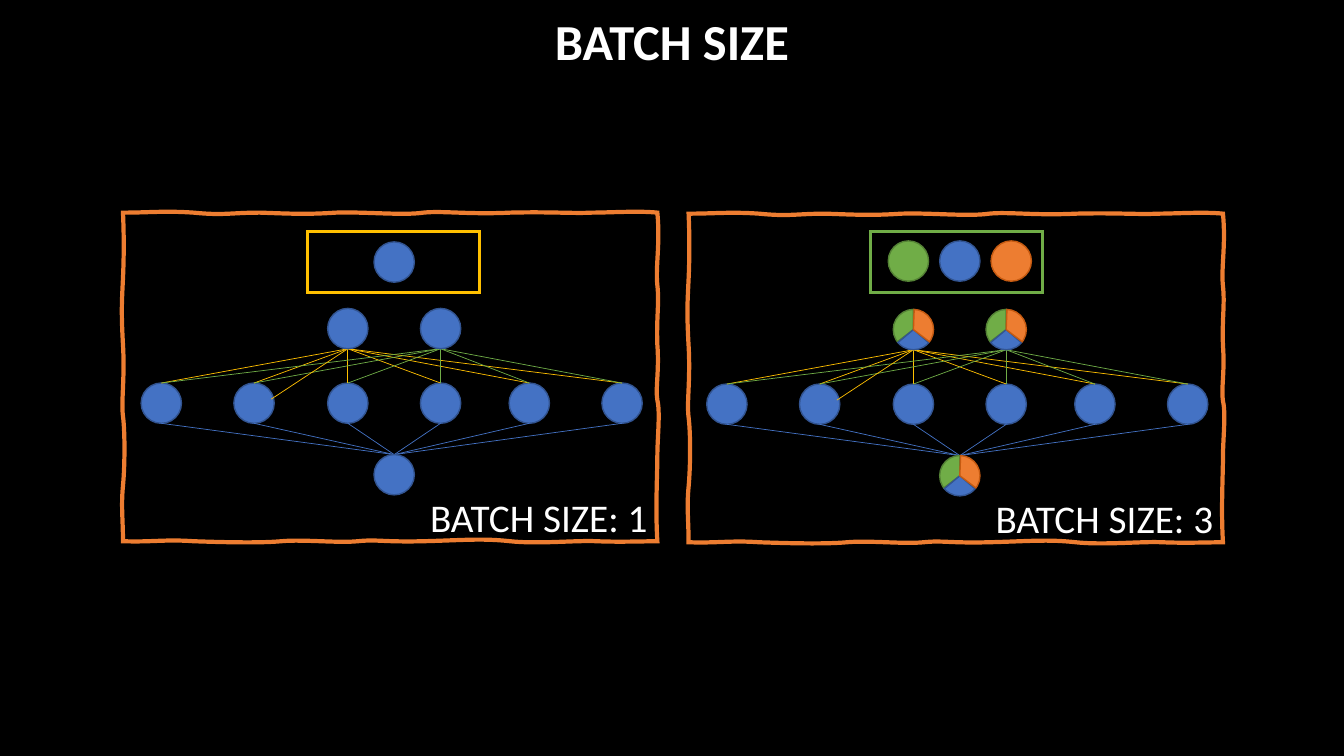
from itertools import product
from lxml.etree import SubElement
from pptx import Presentation
from pptx.dml.color import RGBColor
from pptx.enum.shapes import MSO_CONNECTOR as CONNECTOR, MSO_SHAPE as SHAPE
from pptx.enum.text import MSO_ANCHOR as ANCHOR, PP_ALIGN as ALIGN
from pptx.oxml.ns import qn
from pptx.util import Inches, Pt

THEME = {
    "background": "000000", "text": "FFFFFF", "frame": "ED7D31",
    "blue": ("4472C4", "325491"),
    "green": ("70AD47", "548235"),
    "orange": ("ED7D31", "C55A11"),
    "yellow": ("FFC000", "FFC000"),
    "font": "Calibri", "title_size": 36, "label_size": 28,
    "frame_line": 3, "box_line": 2.25, "node_line": 1, "link_line": 0.5,
}

TITLE = "BATCH SIZE"
PANELS = [
    {"label": "BATCH SIZE: 1", "left": 1.22, "top": 2.11, "box": (1.83, 0.19),
     "box_color": "yellow", "sample_row": 0.29, "samples": {0: "blue"}, "mixed": False},
    {"label": "BATCH SIZE: 3", "left": 6.83, "top": 2.12, "box": (1.8, 0.18),
     "box_color": "green", "sample_row": 0.27,
     "samples": {0: "blue", -1: "green", 1: "orange"}, "mixed": True},
]
BATCH_SLICES = {"green": (85.71, 162), "blue": (24.43, 84.08), "orange": (163.3, 22.34)}

NODE = 0.4
SAMPLE_STEP = 0.51
HIDDEN_COLUMNS = (0.38, 1.3, 2.23, 3.15, 4.03, 4.95)
INPUT_LINKS = {2.23: "yellow", 3.15: "green"}
CENTER = 2.69
INPUT_ROW, HIDDEN_ROW, OUTPUT_ROW = 0.95, 1.69, 2.4
SIDE_LINK_END = (1.47, 1.85)
BOX_SIZE = (1.71, 0.6)
LABEL_AREA = (2.53, 2.73, 2.77, 0.57)
TITLE_AREA = (3.54, 0.05, 6.25, 0.71)

FRAME_WIDTH, FRAME_HEIGHT = 5.3, 3.26
TOP_EDGE = [
    (0.26, 0), (0.41, -0.02), (0.7, 0), (1, 0.03), (1.07, 0), (1.36, 0),
    (1.64, 0.01), (1.82, 0.02), (2.11, 0), (2.4, -0.01), (2.78, 0.03), (2.98, 0),
    (3.17, -0.02), (3.43, 0.02), (3.84, 0), (4.25, -0.01), (4.47, 0.01), (4.65, 0),
    (4.83, 0), (5.11, -0.02), (5.3, 0)]
RIGHT_EDGE = [
    (0.31, 0.03), (0.54, -0.02), (0.72, 0), (0.9, 0.02), (1.04, -0.01), (1.31, 0),
    (1.57, 0.02), (1.74, -0.02), (1.86, 0), (1.98, 0.03), (2.24, 0), (2.41, 0),
    (2.59, 0), (2.94, -0.02), (3.26, 0)]
BOTTOM_EDGE = [
    (5.18, 0), (4.92, 0.01), (4.7, 0), (4.49, -0.01), (4.12, 0.03), (3.84, 0),
    (3.56, -0.03), (3.38, -0.01), (2.98, 0), (2.58, 0.01), (2.52, -0.02), (2.33, 0),
    (2.13, 0.02), (1.79, -0.02), (1.57, 0), (1.35, 0.02), (0.99, 0.01), (0.7, 0),
    (0.42, -0.02), (0.29, 0.01), (0, 0)]
LEFT_EDGE = [
    (3.05, 0), (2.91, -0.02), (2.71, 0), (2.5, 0.02), (2.17, 0.02), (2.02, 0),
    (1.87, -0.02), (1.65, 0.02), (1.31, 0), (0.96, -0.02), (0.87, -0.01), (0.65, 0),
    (0.44, 0.01), (0.21, 0.01), (0, 0)]
FRAME_CURVE = (
    TOP_EDGE
    + [(FRAME_WIDTH + wobble, y) for y, wobble in RIGHT_EDGE]
    + [(x, FRAME_HEIGHT + wobble) for x, wobble in BOTTOM_EDGE]
    + [(wobble, y) for y, wobble in LEFT_EDGE])


def rgb(code):
    return RGBColor.from_string(code)


def style(part, fill, line, width):
    part.shadow.inherit = False
    if fill:
        part.fill.solid()
        part.fill.fore_color.rgb = rgb(fill)
    else:
        part.fill.background()
    part.line.color.rgb = rgb(line)
    part.line.width = Pt(width)
    SubElement(part.element.spPr.find(qn("a:ln")), qn("a:miter"), lim="800000")


def write(holder, words, size, align, bold=False):
    frame = holder.text_frame
    for name, value in {"word_wrap": True, "vertical_anchor": ANCHOR.TOP, "text": words}.items():
        setattr(frame, name, value)
    paragraph = frame.paragraphs[0]
    paragraph.alignment = align
    font = paragraph.runs[0].font
    for name, value in {"name": THEME["font"], "size": Pt(size), "bold": bold}.items():
        setattr(font, name, value)
    font.color.rgb = rgb(THEME["text"])


def draw_frame(shapes, place):
    corners = [(FRAME_WIDTH, 0), (FRAME_WIDTH, FRAME_HEIGHT), (0, FRAME_HEIGHT)]
    builder = shapes.build_freeform(*place(0, 0))
    builder.add_line_segments([place(*corner) for corner in corners])
    frame = builder.convert_to_shape()
    outline = next(frame.element.iter(qn("a:path")))
    for piece in list(outline)[1:]:
        outline.remove(piece)
    for start in range(0, len(FRAME_CURVE), 3):
        curve = SubElement(outline, qn("a:cubicBezTo"))
        for x, y in FRAME_CURVE[start:start + 3]:
            SubElement(curve, qn("a:pt"), x=str(Inches(x)), y=str(Inches(y)))
    SubElement(outline, qn("a:close"))
    style(frame, None, THEME["frame"], THEME["frame_line"])


def draw_panel(shapes, panel):
    def place(x, y):
        return Inches(panel["left"] + x), Inches(panel["top"] + y)

    def node(center, top, color, kind=SHAPE.OVAL, parent=shapes):
        circle = parent.add_shape(kind, *place(center - NODE / 2, top), Inches(NODE), Inches(NODE))
        style(circle, *THEME[color], THEME["node_line"])
        return circle

    def batch_node(center, top):
        if not panel["mixed"]:
            node(center, top, "blue")
            return
        slices = shapes.add_group_shape().shapes
        for color, angles in BATCH_SLICES.items():
            wedge = node(center, top, color, SHAPE.PIE, slices)
            wedge.adjustments[0], wedge.adjustments[1] = angles

    def link(start, end, color):
        connection = shapes.add_connector(CONNECTOR.STRAIGHT, *place(*start), *place(*end))
        connection.line.color.rgb = rgb(THEME[color][0])
        connection.line.width = Pt(THEME["link_line"])
        SubElement(connection.element.spPr, qn("a:effectLst"))

    draw_frame(shapes, place)
    for column in HIDDEN_COLUMNS:
        node(column, HIDDEN_ROW, "blue")
    for (source, color), column in product(INPUT_LINKS.items(), HIDDEN_COLUMNS):
        link((source, INPUT_ROW + NODE), (column, HIDDEN_ROW), color)
    link((HIDDEN_COLUMNS[2], INPUT_ROW + NODE), SIDE_LINK_END, "yellow")
    for column in HIDDEN_COLUMNS:
        link((CENTER, OUTPUT_ROW), (column, HIDDEN_ROW + NODE), "blue")
    for source in INPUT_LINKS:
        batch_node(source, INPUT_ROW)
    batch_node(CENTER, OUTPUT_ROW)

    for step, color in panel["samples"].items():
        node(CENTER + step * SAMPLE_STEP, panel["sample_row"], color)
    box = shapes.add_shape(SHAPE.RECTANGLE, *place(*panel["box"]), *map(Inches, BOX_SIZE))
    style(box, None, THEME[panel["box_color"]][0], THEME["box_line"])

    label = shapes.add_textbox(*place(*LABEL_AREA[:2]), *map(Inches, LABEL_AREA[2:]))
    write(label, panel["label"], THEME["label_size"], ALIGN.RIGHT)


deck = Presentation()
deck.slide_width, deck.slide_height = Inches(13.33), Inches(7.5)
slide = deck.slides.add_slide(deck.slide_layouts[5])
slide.background.fill.solid()
slide.background.fill.fore_color.rgb = rgb(THEME["background"])

title = slide.shapes.title
for side, length in zip(("left", "top", "width", "height"), TITLE_AREA):
    setattr(title, side, Inches(length))
write(title, TITLE, THEME["title_size"], ALIGN.CENTER, bold=True)

for panel in PANELS:
    draw_panel(slide.shapes, panel)

deck.save("out.pptx")
